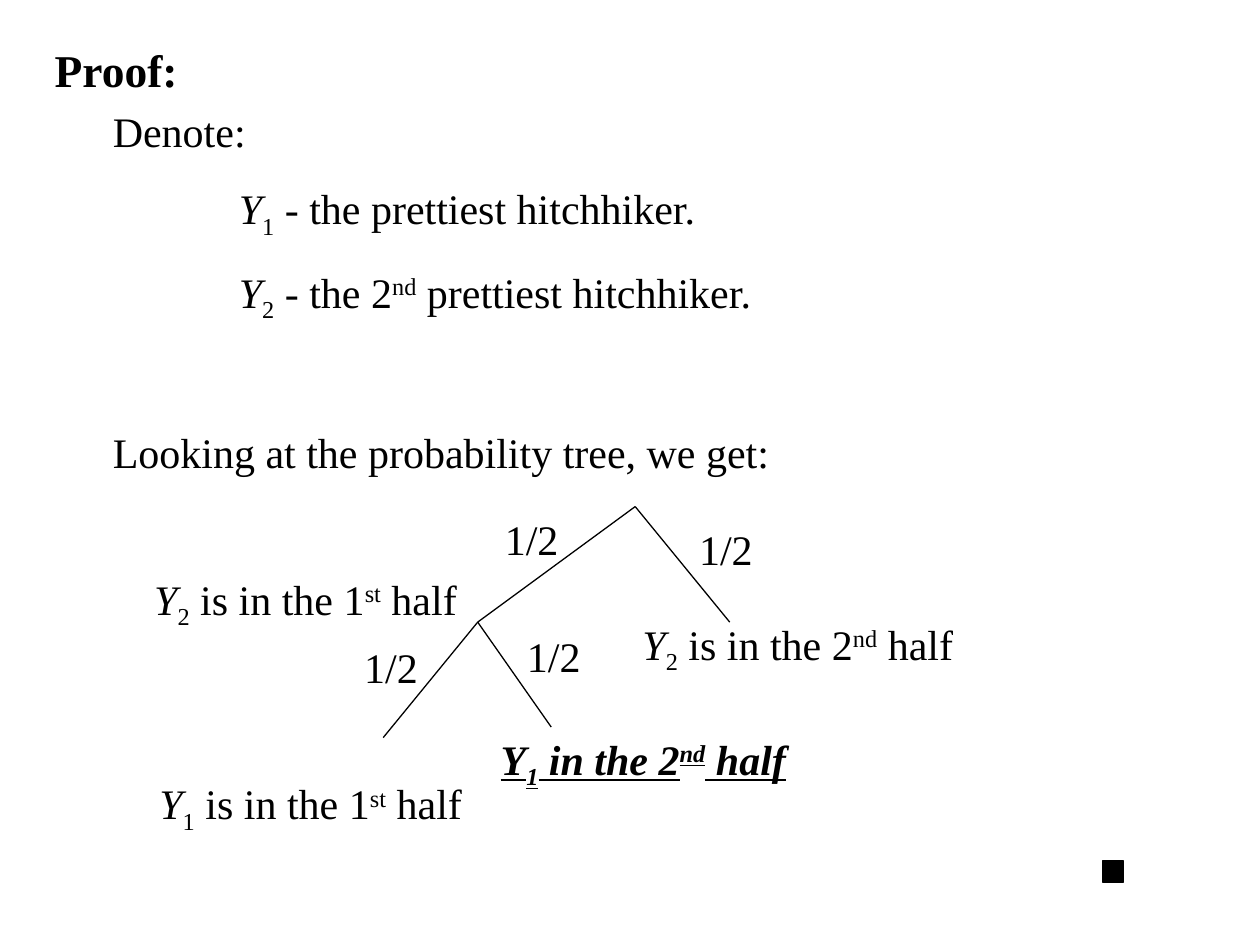
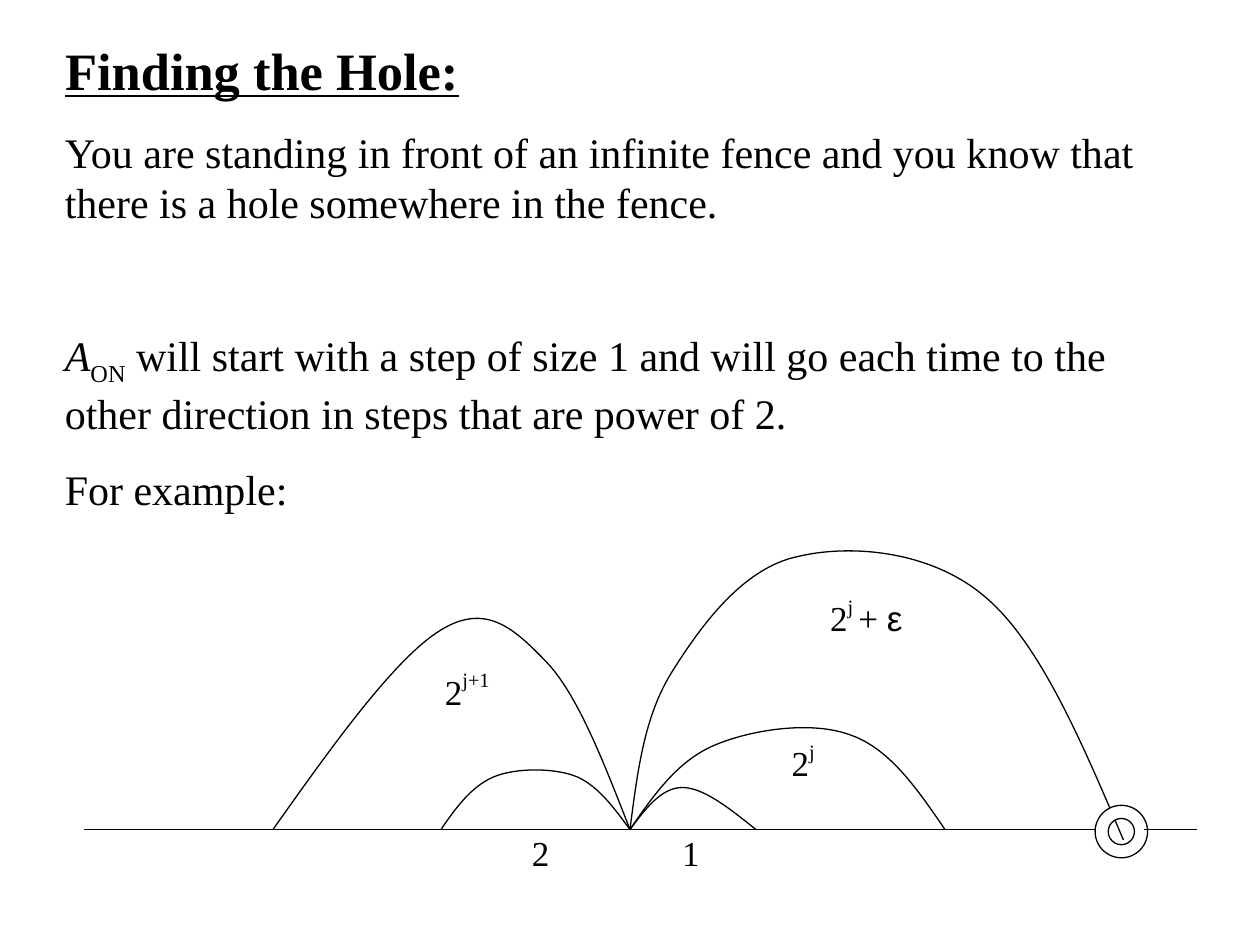
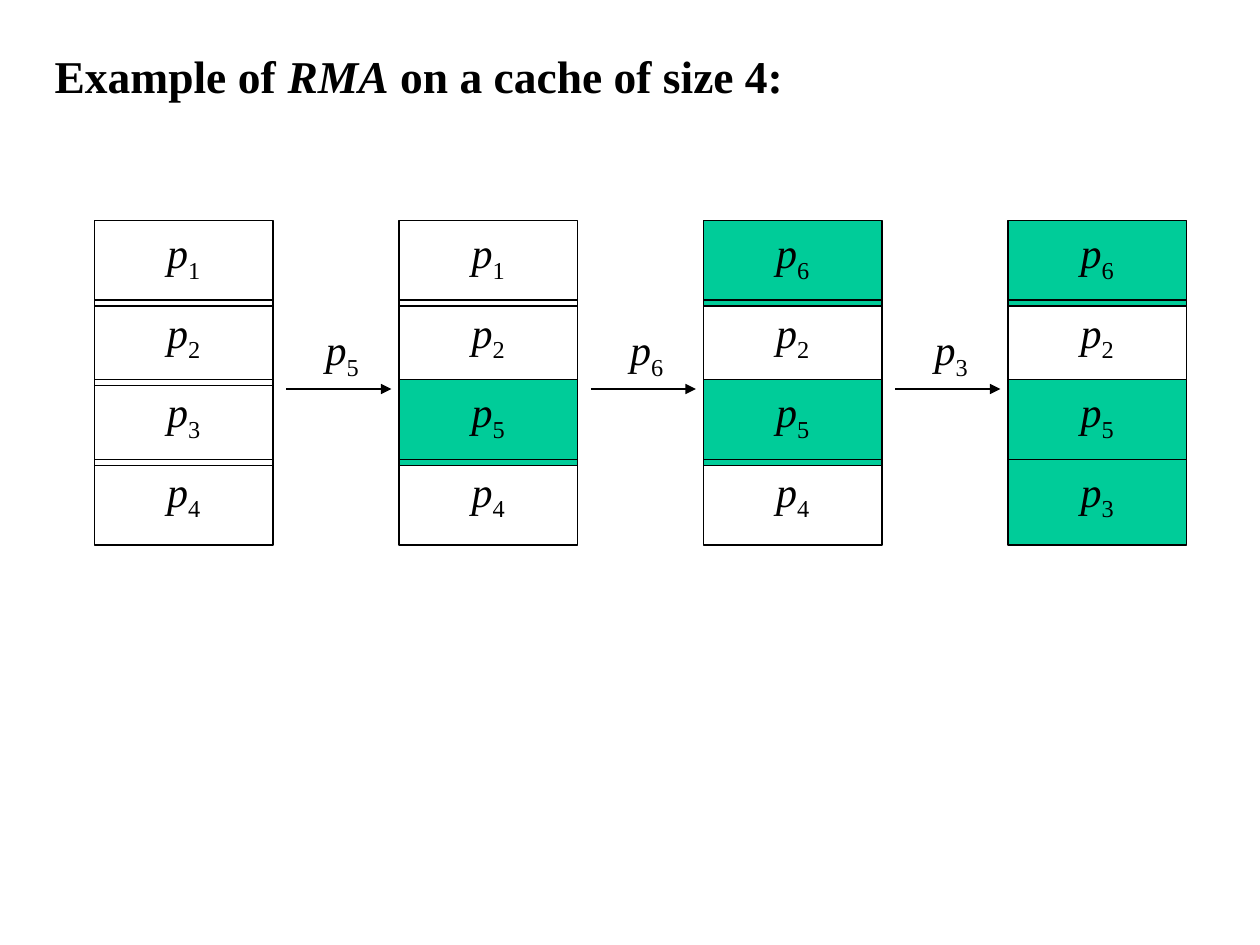
from dataclasses import dataclass
from itertools import pairwise

from lxml.etree import SubElement
from pptx import Presentation
from pptx.dml.color import RGBColor
from pptx.enum.shapes import MSO_CONNECTOR, MSO_SHAPE
from pptx.enum.text import MSO_ANCHOR, MSO_AUTO_SIZE, PP_ALIGN
from pptx.oxml.ns import qn
from pptx.util import Inches, Pt

WIDTH, HEIGHT = Inches(10), Inches(7.5)
UNIT = WIDTH / 120  # the grid has 120 columns and 90 rows
FONT = "Times New Roman"
COLOR = {"ink": "000000", "paper": "FFFFFF", "new": "00CC99"}
STROKE = Pt(0.75)
LINE = 28.6  # height of a body line, in points
GAP = 15  # space between body paragraphs, in points
SKIP = GAP + LINE + GAP


@dataclass
class Run:
    text: str
    italic: bool = False
    shift: int = 0
    font: str = FONT


@dataclass
class Para:
    runs: list[Run]
    before: float = GAP
    indent: float = 0


@dataclass
class Box:
    left: float
    top: float
    width: float
    height: float

    def emu(self) -> list[int]:
        return [grid(v) for v in (self.left, self.top, self.width, self.height)]


def grid(value: float) -> int:
    return round(value * UNIT)


def paint(name: str) -> RGBColor:
    return RGBColor.from_string(COLOR[name])


def var(letter: str, index: str) -> list[Run]:
    """An italic letter with a subscript."""
    return [Run(letter, italic=True), Run(index, shift=-25)]


def power(exponent: str) -> list[Run]:
    return [Run("2"), Run(exponent, shift=50)]


def half(index: str, words: str, nth: str, end: str) -> list[Run]:
    return [*var("Y", index), Run(words + nth), Run(end, shift=30), Run(" half")]


def write(frame, paras: list[Para], *, size: float = 24, bold: bool = False,
          italic: bool = False, line: bool = False, align=PP_ALIGN.LEFT) -> None:
    frame.word_wrap = True
    frame.auto_size = MSO_AUTO_SIZE.NONE
    frame.vertical_anchor = MSO_ANCHOR.TOP
    for spot, para in enumerate(paras):
        p = frame.add_paragraph() if spot else frame.paragraphs[0]
        p.alignment = align
        p.space_before = Pt(para.before if spot else 0)
        if para.indent:
            p._p.get_or_add_pPr().set("marL", str(Inches(para.indent)))
        for part in para.runs:
            run = p.add_run()
            run.text = part.text
            font = run.font
            font.name, font.size = part.font, Pt(size)
            font.bold, font.italic = bold, italic or part.italic
            font.underline = line
            font.color.rgb = paint("ink")
            if part.shift:
                font._element.set("baseline", str(part.shift * 1000))


def label(slide, box: Box, paras: list[Para], **style) -> None:
    write(slide.shapes.add_textbox(*box.emu()).text_frame, paras, **style)


def start(deck, box: Box, runs: list[Run], **style):
    """Add a slide with its title."""
    slide = deck.slides.add_slide(deck.slide_layouts[5])
    title = slide.shapes.title
    title.left, title.top, title.width, title.height = box.emu()
    write(title.text_frame, [Para(runs)], bold=True, **style)
    return slide


def shape(slide, kind: MSO_SHAPE, box: Box, fill: str | None):
    item = slide.shapes.add_shape(kind, *box.emu())
    item.shadow.inherit = False
    if fill:
        item.fill.solid()
        item.fill.fore_color.rgb = paint(fill)
    else:
        item.fill.background()
    item.line.color.rgb = paint("ink")
    item.line.width = STROKE
    return item


def link(slide, a: tuple, b: tuple, arrow: bool = False) -> None:
    item = slide.shapes.add_connector(
        MSO_CONNECTOR.STRAIGHT, *(grid(v) for v in (*a, *b)))
    item.line.color.rgb = paint("ink")
    item.line.width = STROKE
    if arrow:
        SubElement(item.line._get_or_add_ln(), qn("a:tailEnd"), type="triangle")
    SubElement(item._element.spPr, qn("a:effectLst"))


def curve(slide, points: list[tuple]) -> None:
    """Draw cubic arcs: a start, then two control points and an end for each."""
    (x, y), *rest = [(grid(a), grid(b)) for a, b in points]
    pen = slide.shapes.build_freeform(x, y)
    pen.add_line_segments(rest, close=False)
    item = pen.convert_to_shape()
    track = next(item._element.iter(qn("a:path")))
    steps = track.findall(qn("a:lnTo"))
    for spot in range(0, len(steps), 3):
        arc = SubElement(track, qn("a:cubicBezTo"))
        for step in steps[spot:spot + 3]:
            arc.append(step[0])
            track.remove(step)
    item.shadow.inherit = False
    item.fill.background()
    item.line.color.rgb = paint("ink")
    item.line.width = STROKE


def proof(deck) -> None:
    slide = start(deck, Box(4, 3.36, 106, 6.5), [Run("Proof:")], size=26)
    root, fork = (60.5, 48.25), (45.5, 59.25)
    for a, b in ((root, fork), (root, (69.5, 59.25)),
                 (fork, (52.5, 69.25)), (fork, (36.5, 70.25))):
        link(slide, a, b)
    label(slide, Box(5, 9.5, 99, 36.6), [
        Para([Run("Denote:")], indent=0.38),
        Para([*var("Y", "1"), Run(" - the prettiest hitchhiker.")], indent=1.38),
        Para([*var("Y", "2"), Run(" - the 2"), Run("nd", shift=30),
              Run(" prettiest hitchhiker.")], indent=1.38),
        Para([Run("Looking at the probability tree, we get:")], SKIP, 0.38),
    ])
    for left, top in ((65.4, 49.3), (49, 59.5), (33.5, 60.5), (46.9, 48.35)):
        label(slide, Box(left, top, 10, 6), [Para([Run("1/2")])])
    for left, top, index, nth, end in ((60, 58.3, "2", "2", "nd"),
                                       (14, 73.5, "1", "1", "st"),
                                       (13.5, 54, "2", "1", "st")):
        label(slide, Box(left, top, 38, 6.7),
              [Para(half(index, " is in the ", nth, end))])
    label(slide, Box(46.5, 69.25, 38, 6.7),
          [Para(half("1", " in the ", "2", "nd"))],
          bold=True, italic=True, line=True)
    shape(slide, MSO_SHAPE.RECTANGLE, Box(105, 82, 2, 2), "ink")


def fence(deck) -> None:
    slide = start(deck, Box(5, 3, 107, 7), [Run("Finding the Hole:")],
                  size=30, line=True)
    label(slide, Box(5, 11.45, 107, 42.5), [
        Para([Run("You are standing in front of an infinite fence and you know "
                  "that there is a hole somewhere in the fence.")]),
        Para([Run("A", italic=True), Run("ON", shift=-25),
              Run(" will start with a step of size 1 and will go each time to the "
                  "other direction in steps that are power of 2.")], SKIP),
        Para([Run("For example:")]),
    ])
    ground = 79
    home = (60, ground)
    link(slide, (105, ground), (8, ground))
    trips = [
        [(61.5, 77), (63, 75), (65, 75), (67, 75), (69.5, 77), (72, ground)],
        [(58.5, 76.95), (57, 74.9), (55, 74), (52.9, 73.1), (49.1, 73.1),
         (47, 74), (44.9, 74.9), (43.4, 76.95), (42, ground)],
        [(62.25, 75.75), (64.5, 72.5), (68, 71), (71.5, 69.5), (77.25, 68.6),
         (81, 70), (84.75, 71.3), (87.4, 75.2), (90, ground)],
        [(57.5, 72.6), (55, 66.1), (52, 63), (49, 59.9), (46.3, 57.35),
         (42, 60), (37.7, 62.6), (31.8, 70.8), (26, ground)],
        [(60.7, 73.7), (61.3, 68.3), (64, 64), (66.7, 59.7), (70.7, 54.1),
         (76, 53), (81, 51.8), (88.8, 52.4), (94, 57), (99.1, 61.4),
         (103.1, 70.8), (107, 80)],
    ]
    for trip in trips:
        curve(slide, [home, *trip])
    for left, top, width, runs in (
            (61.3, 78.6, 9, [Run("1")]), (47, 78.6, 9, [Run("2")]),
            (72, 69.8, 9, power("j")), (40, 63, 9, power("j+1")),
            (76, 56, 13, [*power("j "), Run("+ "), Run("ε", font="Arial")])):
        label(slide, Box(left, top, width, 5.5), [Para(runs)],
              size=20, align=PP_ALIGN.CENTER)
    shape(slide, MSO_SHAPE.DONUT, Box(104.3, 76.7, 5, 5), "paper")
    link(slide, (109, ground), (114, ground))


def cache(deck) -> None:
    slide = start(deck, Box(4, 4, 112, 6.5),
                  [Run("Example of "), Run("RMA", italic=True),
                   Run(" on a cache of size 4:")], size=26)
    first = "1234"
    states = [first, "1254", "6254", "6253"]
    lefts = [9 + 29 * col for col in range(len(states))]
    for left, state in zip(lefts, states):
        for row, page in enumerate(state):
            fill = None if page == first[row] else "new"
            if state == states[-1] and row == 3:
                fill = "new"
            cell = shape(slide, MSO_SHAPE.RECTANGLE,
                         Box(left, 21 + 7.58 * row, 17, 8.16), fill)
            cell.text_frame.margin_bottom = Inches(0.17)
            write(cell.text_frame, [Para(var("p", page))], align=PP_ALIGN.CENTER)
    for left, (old, new) in zip(lefts, pairwise(states)):
        page = next(b for a, b in zip(old, new) if a != b)
        link(slide, (left + 18.27, 37.05), (left + 28.27, 37.05), arrow=True)
        label(slide, Box(left + 20.83, 30.25, 8, 6.7), [Para(var("p", page))])


def main() -> None:
    deck = Presentation()
    deck.slide_width, deck.slide_height = WIDTH, HEIGHT
    for build in (proof, fence, cache):
        build(deck)
    deck.save("out.pptx")


if __name__ == "__main__":
    main()
